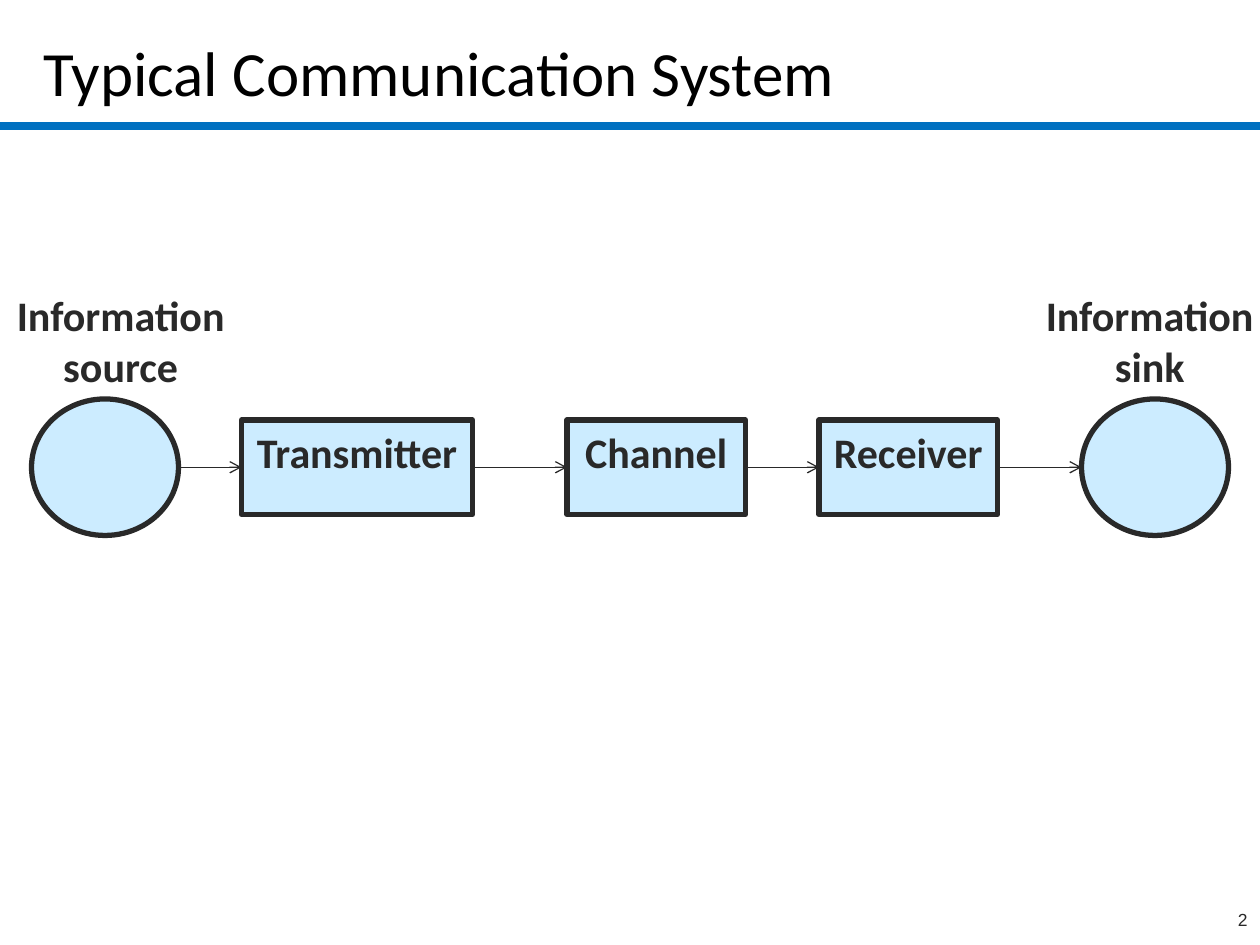
from lxml import etree
from pptx import Presentation
from pptx.dml.color import RGBColor
from pptx.enum.shapes import MSO_CONNECTOR, MSO_SHAPE
from pptx.enum.text import MSO_ANCHOR, PP_ALIGN
from pptx.oxml.ns import qn
from pptx.util import Pt

RECT, OVAL = MSO_SHAPE.RECTANGLE, MSO_SHAPE.OVAL
STRAIGHT = MSO_CONNECTOR.STRAIGHT
TOP, BOTTOM = MSO_ANCHOR.TOP, MSO_ANCHOR.BOTTOM
LEFT, CENTER, RIGHT = PP_ALIGN.LEFT, PP_ALIGN.CENTER, PP_ALIGN.RIGHT
LEFT_SIDE, RIGHT_SIDE = 1, 3
COLORS = {"rule": "0070C0", "title": "000000", "ink": "292929", "block": "CCECFF"}
AXIS = 267

prs = Presentation()
prs.slide_width, prs.slide_height = Pt(720), Pt(540)
slide = prs.slides.add_slide(prs.slide_layouts[6])
shapes = slide.shapes


def write(holder, text, size, align=CENTER, anchor=TOP, bold=False, font="Calibri", color="ink"):
    frame = holder.text_frame
    frame.word_wrap = True
    frame.vertical_anchor = anchor
    frame.text = text
    paragraph = frame.paragraphs[0]
    paragraph.alignment = align
    for run in paragraph.runs:
        run.font.name = font
        run.font.size = Pt(size)
        run.font.bold = bold
        run.font.color.rgb = RGBColor.from_string(COLORS[color])


def add_line(x1, x2, y, color, width):
    line = shapes.add_connector(STRAIGHT, Pt(x1), Pt(y), Pt(x2), Pt(y))
    line.line.color.rgb = RGBColor.from_string(COLORS[color])
    line.line.width = Pt(width)
    etree.SubElement(line._element.spPr, qn("a:effectLst"))
    return line


add_line(0, 720, 72, "rule", 5)

texts = [
    ("Typical Communication System", 18, 8, 684, 58, 36, LEFT, BOTTOM, False, "Calibri", "title"),
    ("2", 570, 516, 150, 24, 10, RIGHT, TOP, False, "Arial", "ink"),
    ("Information source", 0, 162, 138, 65.5, 24, CENTER, TOP, True, "Calibri", "ink"),
    ("Information sink", 570, 162, 174, 65.5, 24, CENTER, TOP, True, "Calibri", "ink"),
]
for text, x, y, width, height, *style in texts:
    write(shapes.add_textbox(Pt(x), Pt(y), Pt(width), Pt(height)), text, *style)

stages = [
    (OVAL, 18, 84, 78, ""),
    (RECT, 138, 132, 54, "Transmitter"),
    (RECT, 324, 102, 54, "Channel"),
    (RECT, 468, 102, 54, "Receiver"),
    (OVAL, 618, 84, 78, ""),
]
chain = []
for kind, x, width, height, label in stages:
    stage = shapes.add_shape(kind, Pt(x), Pt(AXIS - height / 2), Pt(width), Pt(height))
    stage.shadow.inherit = False
    stage.fill.solid()
    stage.fill.fore_color.rgb = RGBColor.from_string(COLORS["block"])
    stage.line.color.rgb = RGBColor.from_string(COLORS["ink"])
    stage.line.width = Pt(3)
    if label:
        write(stage, label, 24, bold=True)
    chain.append((stage, kind, x, x + width))

for (source, source_kind, _, start), (target, target_kind, end, _) in zip(chain, chain[1:]):
    arrow = add_line(start, end, AXIS, "ink", 0.75)
    if source_kind == RECT:
        arrow.begin_connect(source, RIGHT_SIDE)
    if target_kind == RECT:
        arrow.end_connect(target, LEFT_SIDE)
    etree.SubElement(arrow.line._get_or_add_ln(), qn("a:tailEnd"), type="arrow")

prs.save("out.pptx")
